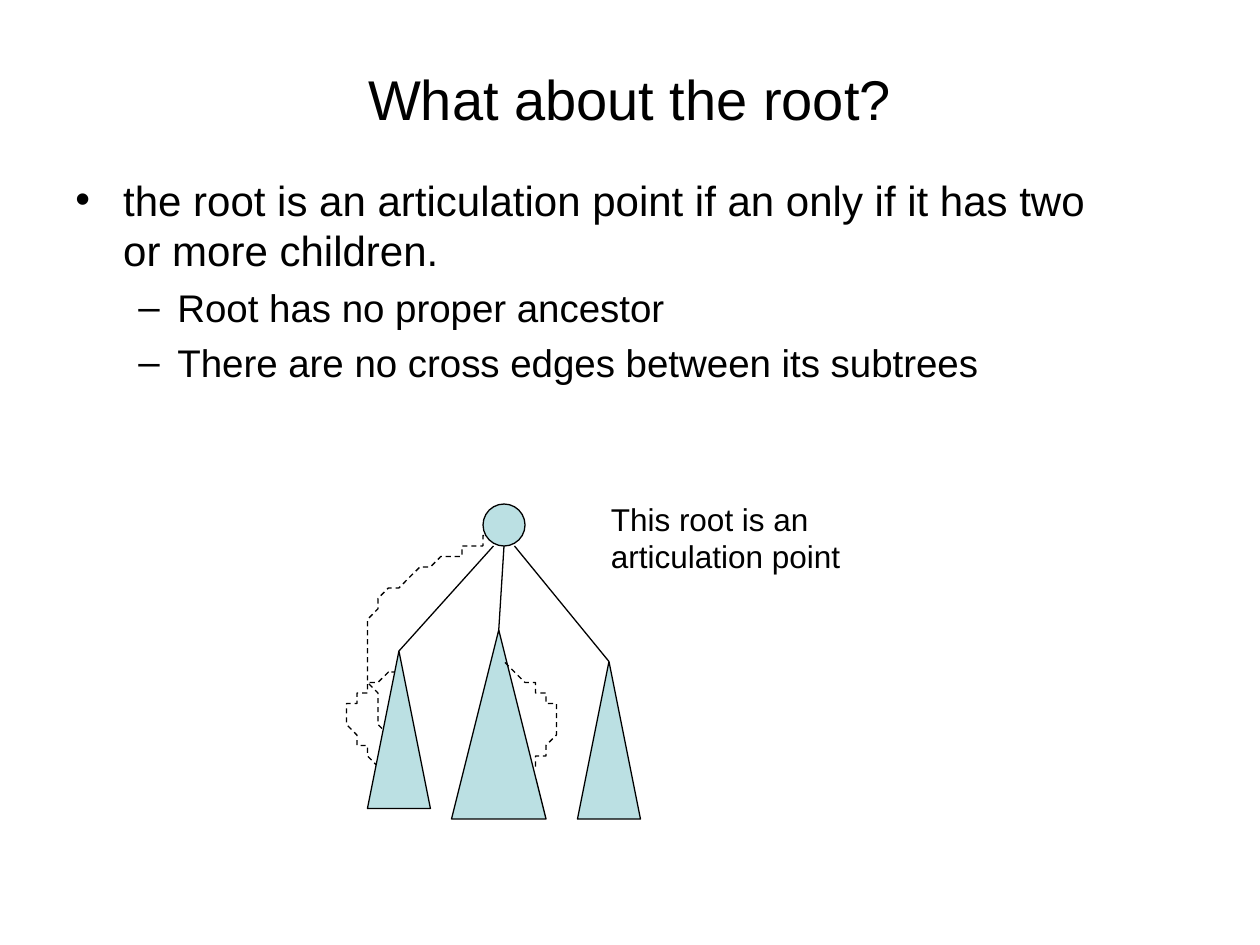
from lxml.etree import SubElement
from pptx import Presentation
from pptx.dml.color import RGBColor
from pptx.enum.dml import MSO_LINE
from pptx.enum.shapes import MSO_CONNECTOR, MSO_SHAPE
from pptx.enum.text import MSO_ANCHOR, PP_ALIGN
from pptx.oxml.ns import qn
from pptx.util import Inches, Pt

COLORS = {"ink": RGBColor.from_string("000000"), "node": RGBColor.from_string("BBE0E3")}

prs = Presentation()
prs.slide_width, prs.slide_height = Inches(10), Inches(7.5)
U = prs.slide_width // 120  # grid of 120 columns by 90 rows
s = prs.slides.add_slide(prs.slide_layouts[6])


def add_text(box, lines, size, **formats):
    tf = s.shapes.add_textbox(*(int(v * U) for v in box)).text_frame
    tf.word_wrap = True
    for i, line in enumerate(lines):
        p = tf.paragraphs[0] if i == 0 else tf.add_paragraph()
        for name, value in formats.items():
            setattr(p, name, value)
        r = p.add_run()
        r.text = line
        r.font.name, r.font.size = "Arial", Pt(size)
        r.font.color.rgb = COLORS["ink"]
    return tf


def add_curve(start, *beziers):
    """Draw a dashed open outline through cubic Bezier segments."""
    points, steps = [start], 16
    for c1, c2, end in beziers:
        begin = points[-1]
        for i in range(1, steps + 1):
            t = i / steps
            weights = ((1 - t) ** 3, 3 * t * (1 - t) ** 2, 3 * t * t * (1 - t), t ** 3)
            points.append(tuple(sum(w * q[axis] for w, q in zip(weights, (begin, c1, c2, end)))
                                for axis in (0, 1)))
    builder = s.shapes.build_freeform(*points[0], scale=U)
    builder.add_line_segments(points[1:], close=False)
    sp = builder.convert_to_shape()
    sp.shadow.inherit = False
    sp.fill.background()
    sp.line.color.rgb, sp.line.width = COLORS["ink"], Pt(0.75)
    sp.line.dash_style = MSO_LINE.DASH


# Title and bullets
title = add_text((6, 3.6, 108, 11.4), ["What about the root?"], 32, alignment=PP_ALIGN.CENTER)
title.vertical_anchor = MSO_ANCHOR.MIDDLE
body = add_text((6, 16, 101, 23), [
    "the root is an articulation point if an only if it has two or more children.",
    "Root has no proper ancestor",
    "There are no cross edges between its subtrees"], 22)
body.paragraphs[0].runs[0].font.size = Pt(24)
for i, p in enumerate(body.paragraphs):
    level, margin, hang, char = (1, 0.81, 0.31, "–") if i else (0, 0.38, 0.38, "•")
    p.level = level
    if i:
        p.space_before = Pt(5)
    pPr = p._p.get_or_add_pPr()
    pPr.set("marL", str(Inches(margin)))
    pPr.set("indent", str(-Inches(hang)))
    SubElement(pPr, qn("a:buFont")).set("typeface", "Arial")
    SubElement(pPr, qn("a:buChar")).set("char", char)

# Back edges that pass behind the subtrees
add_curve((36, 73), ((34.5, 71.3), (32.9, 69.5), (33, 68)),
          ((33.1, 66.5), (36.1, 64.7), (37, 64)), ((37.8, 63.4), (38, 64), (38, 64)),
          ((38, 64), (37.5, 64), (37, 64)))
add_curve((36.7, 70), ((35.3, 65.6), (34, 61.2), (35.6, 58)),
          ((37.3, 54.8), (44.9, 52.2), (46.7, 51)))

# Tree edges, then subtrees and root on top
for x1, y1, x2, y2 in [(47, 68, 48, 52), (38, 62, 47, 52), (49, 52, 58, 63)]:
    edge = s.shapes.add_connector(MSO_CONNECTOR.STRAIGHT, x1 * U, y1 * U, x2 * U, y2 * U)
    edge.line.color.rgb, edge.line.width = COLORS["ink"], Pt(0.75)
    SubElement(edge._element.spPr, qn("a:effectLst"))

triangle, ellipse = MSO_SHAPE.ISOSCELES_TRIANGLE, MSO_SHAPE.OVAL
for kind, *box in [(triangle, 35, 62, 6, 15), (triangle, 43, 60, 9, 18),
                   (triangle, 55, 63, 6, 15), (ellipse, 46, 48, 4, 4)]:
    sp = s.shapes.add_shape(kind, *(v * U for v in box))
    sp.shadow.inherit = False
    sp.fill.solid()
    sp.fill.fore_color.rgb = COLORS["node"]
    sp.line.color.rgb, sp.line.width = COLORS["ink"], Pt(0.75)

# Back edge in front of the middle subtree, and the label
add_curve((51, 73), ((52.2, 71.3), (53.5, 69.7), (53, 68)),
          ((52.6, 66.4), (48.8, 63.8), (48, 63)))
add_text((57, 47, 29, 8.4), ["This root is an articulation point"], 18)

prs.save("out.pptx")
